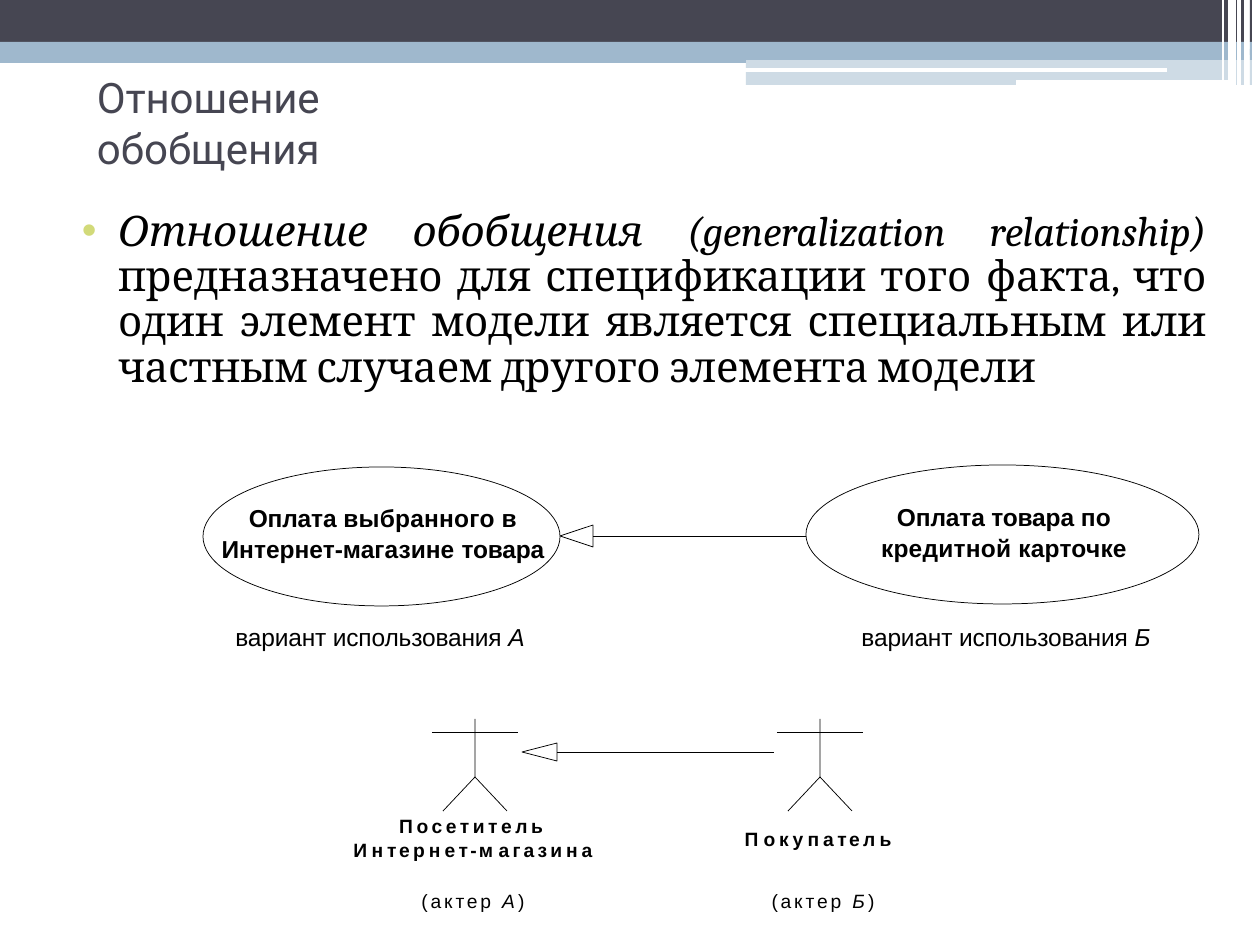
from lxml import etree
from pptx import Presentation
from pptx.dml.color import RGBColor
from pptx.enum import shapes, text
from pptx.oxml.ns import qn
from pptx.util import Pt

PX = 914400 / 126
BLACK = RGBColor(0, 0, 0)
WHITE = RGBColor(255, 255, 255)
DARK = RGBColor(0x46, 0x46, 0x52)
BLUE = RGBColor(0x9F, 0xB8, 0xCD)
LIME = "D2DA79"
THIN = 0.43

# runs are (text, letter spacing in points, italic)
TITLE = [("Отношение ", -0.1, False), ("обобщения", 0, False)]
BODY = [
    ("Отношение ", 0, True),
    ("обобщения (generalization relationship) ", -0.1, True),
    ("предназначено ", -0.1, False),
    ("для ", 0, False),
    ("спецификации ", -0.1, False),
    ("того ", 0.1, False),
    ("факта, что один элемент модели является специальным или "
     "частным случаем другого элемента модели", -0.1, False),
]
# top, bottom, colour, opacity in percent, left
BANDS = [
    (0, 42, DARK, 100, 0),
    (42, 55, BLUE, 100, 0),
    (49, 60, BLUE, 100, 746),
    (60, 85, BLUE, 50, 746),
]
EDGE, SLIVER = 1246, (1250, 2)
# start, end, colour, weight
RULES = [
    ((0, 59), (746, 59), BLUE, 4.06),
    ((745, 70), (1167, 70), WHITE, 2.16),
    ((1016, 83), (1236, 83), WHITE, 2.88),
    ((1245, 0), (1245, 85), WHITE, 0.72),
    ((1239, 0), (1239, 85), WHITE, 2.16),
    ((1232, 0), (1232, 81), WHITE, 4.32),
    ((1223, 0), (1223, 81), WHITE, 0.72),
]
OVALS = [(203, 467, 357, 139), (806, 465, 393, 139)]
# tail x, head base x, tip x, y, half height of head
ARROWS = [(806, 593, 560, 536, 11), (774, 557, 522, 752, 9)]
ACTORS = [475, 820]
GUEST = [("Посетитель ", 2), ("И", 2.4), ("н", 2.3), ("т", 1.4), ("е", 1.9),
         ("р", 2.2), ("н", 2.3), ("е", 1.9), ("т", 1.3), ("-", 1.2), ("м", 3.1),
         ("а", 1.9), ("г", 1.6), ("аз", 1.8), ("ина", 2.2)]
BUYER = [("П", 2.9), ("о", 2.2), ("к", 2.1), ("у", 2.4), ("п", 2.3),
         ("а", 1.9), ("т", 1.3), ("е", 1.9), ("ль", 2.4)]
SHOP = [("Оплата ", -0.1), ("выбранного в ", 0.1), ("Интернет-магазине ", 0),
        ("товара", -0.1)]
CARD = [("Оплата товара ", -0.1), ("по кредитной карточке", 0.1)]
# centre x, top, width, height, size, line spacing, runs
NAMES = [
    (383, 502, 340, 64, 14, 1.04, SHOP),
    (1004, 501, 260, 64, 14, 1.04, CARD),
    (473, 814, 252, 50, 11, 1.03, GUEST),
    (818, 827, 180, 26, 11, 1, BUYER),
]
# centre x, letter
CASES = [(380, "А"), (1006, "Б")]
ROLES = [(473, "А"), (823, "Б")]

prs = Presentation()
prs.slide_width, prs.slide_height = round(1260 * PX), round(945 * PX)
slide = prs.slides.add_slide(prs.slide_layouts[1])
tree = slide.shapes


def px(*vals):
    return [round(v * PX) for v in vals]


def stroke(shape, color=BLACK, width=THIN):
    shape.line.color.rgb = color
    shape.line.width = Pt(width)


def line(start, end, color=BLACK, width=THIN):
    con = tree.add_connector(shapes.MSO_CONNECTOR.STRAIGHT, *px(*start, *end))
    stroke(con, color, width)
    etree.SubElement(con._element.spPr, qn("a:effectLst"))


def path(points, close):
    form = tree.build_freeform(*points[0], scale=PX)
    form.add_line_segments(points[1:], close=close)
    shape = form.convert_to_shape()
    shape.shadow.inherit = False
    shape.fill.background()
    stroke(shape)


def block(x, y, w, h, color, alpha):
    rect = tree.add_shape(shapes.MSO_SHAPE.RECTANGLE, *px(x, y, w, h))
    rect.shadow.inherit = False
    rect.line.fill.background()
    rect.fill.solid()
    rect.fill.fore_color.rgb = color
    if alpha < 100:
        clr = rect._element.spPr.find(".//" + qn("a:srgbClr"))
        etree.SubElement(clr, qn("a:alpha")).set("val", str(alpha * 1000))


def place(shape, x, y, w, h):
    """Move a text shape, clear its insets and return its first paragraph."""
    shape.left, shape.top, shape.width, shape.height = px(x, y, w, h)
    tf = shape.text_frame
    tf.word_wrap = True
    tf.auto_size = text.MSO_AUTO_SIZE.NONE
    tf.vertical_anchor = text.MSO_ANCHOR.TOP
    tf.margin_left = tf.margin_right = tf.margin_top = tf.margin_bottom = 0
    return tf.paragraphs[0]


def write(par, runs, name, size, color=BLACK, bold=False):
    for words, gap, slant in runs:
        run = par.add_run()
        run.text = words
        font = run.font
        font.name, font.size, font.bold, font.italic = name, Pt(size), bold, slant
        font.color.rgb = color
        if gap:
            run._r.get_or_add_rPr().set("spc", str(round(gap * 100)))


def label(mid, top, w, h, size, lead, runs, bold=False):
    box = tree.add_textbox(0, 0, 0, 0)
    par = place(box, mid - w / 2, top, w, h)
    par.alignment = text.PP_ALIGN.CENTER
    par.line_spacing = float(lead)
    write(par, runs, "Arial", size, bold=bold)


for top, low, color, alpha, left in BANDS:
    for x, w in (SLIVER, (left, EDGE - left)):
        block(x, top, w, low - top, color, alpha)
for rule in RULES:
    line(*rule)

head = place(tree.title, 97, 72, 451, 104)
head.alignment = text.PP_ALIGN.LEFT
write(head, TITLE, "Roboto", 24, DARK)

par = place(tree.placeholders[1], 81, 210, 1125, 184)
props = par._p.get_or_add_pPr()
props.set("marL", str(px(37)[0]))
props.set("indent", str(px(-36)[0]))
tint = etree.SubElement(props, qn("a:buClr"))
etree.SubElement(tint, qn("a:srgbClr")).set("val", LIME)
etree.SubElement(props, qn("a:buChar")).set("char", "•")
par.alignment = text.PP_ALIGN.JUSTIFY
par.line_spacing = 0.9
par.space_before = Pt(0)
write(par, BODY, "Cambria", 24)

for box in OVALS:
    oval = tree.add_shape(shapes.MSO_SHAPE.OVAL, *px(*box))
    oval.shadow.inherit = False
    oval.fill.background()
    stroke(oval)

for tail, base, tip, y, half in ARROWS:
    line((tail, y), (base, y))
    path([(base, y - half), (tip, y), (base, y + half)], True)

for x in ACTORS:
    line((x - 43, 732), (x + 43, 732))
    line((x, 777), (x + 32, 811))
    path([(x, 719), (x, 777), (x - 32, 811)], False)

for *spot, runs in NAMES:
    label(*spot, [(words, gap, False) for words, gap in runs], bold=True)
for mid, letter in CASES:
    label(mid, 622, 310, 34, 14, 1,
          [("вариант использования ", -0.1, False), (letter, 0.1, True)])
for mid, letter in ROLES:
    label(mid, 889, 130, 26, 11, 1,
          [("(актер ", 1.6, False), (letter, 1.8, True), (")", 1.8, False)])

prs.save("out.pptx")
